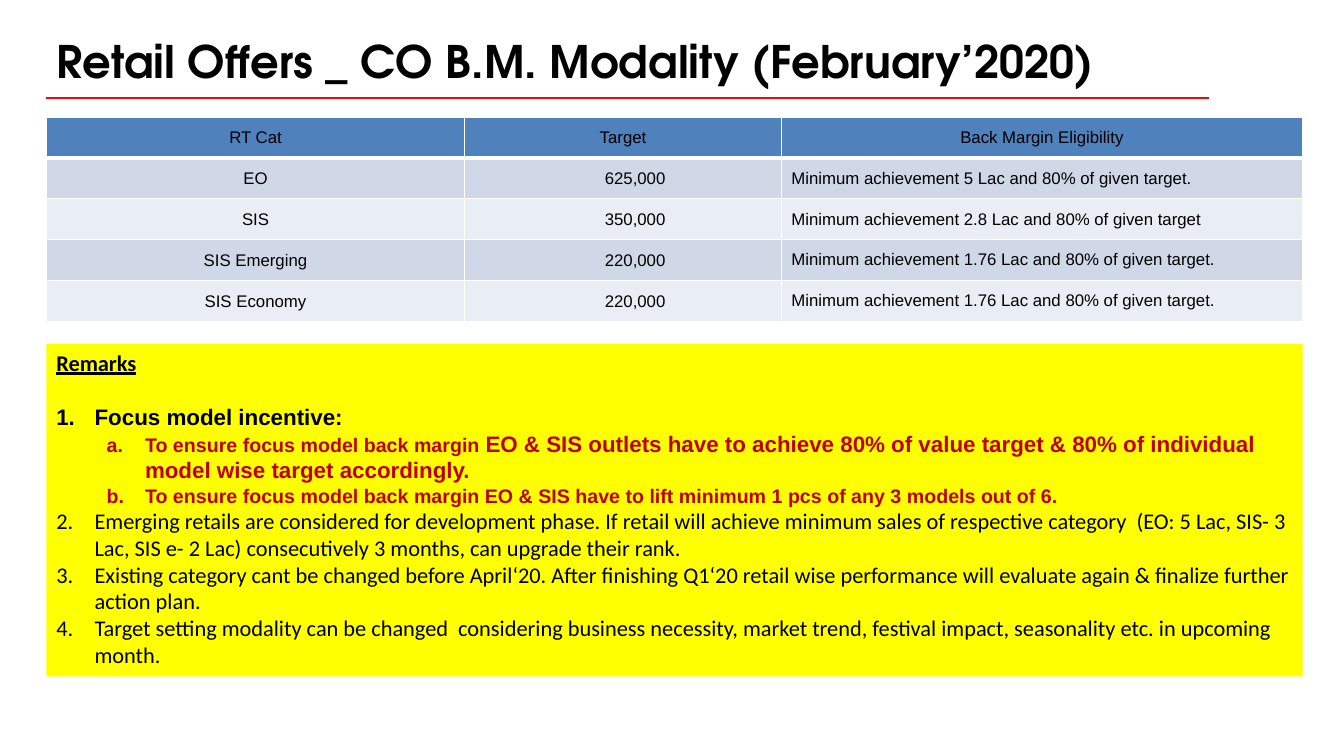
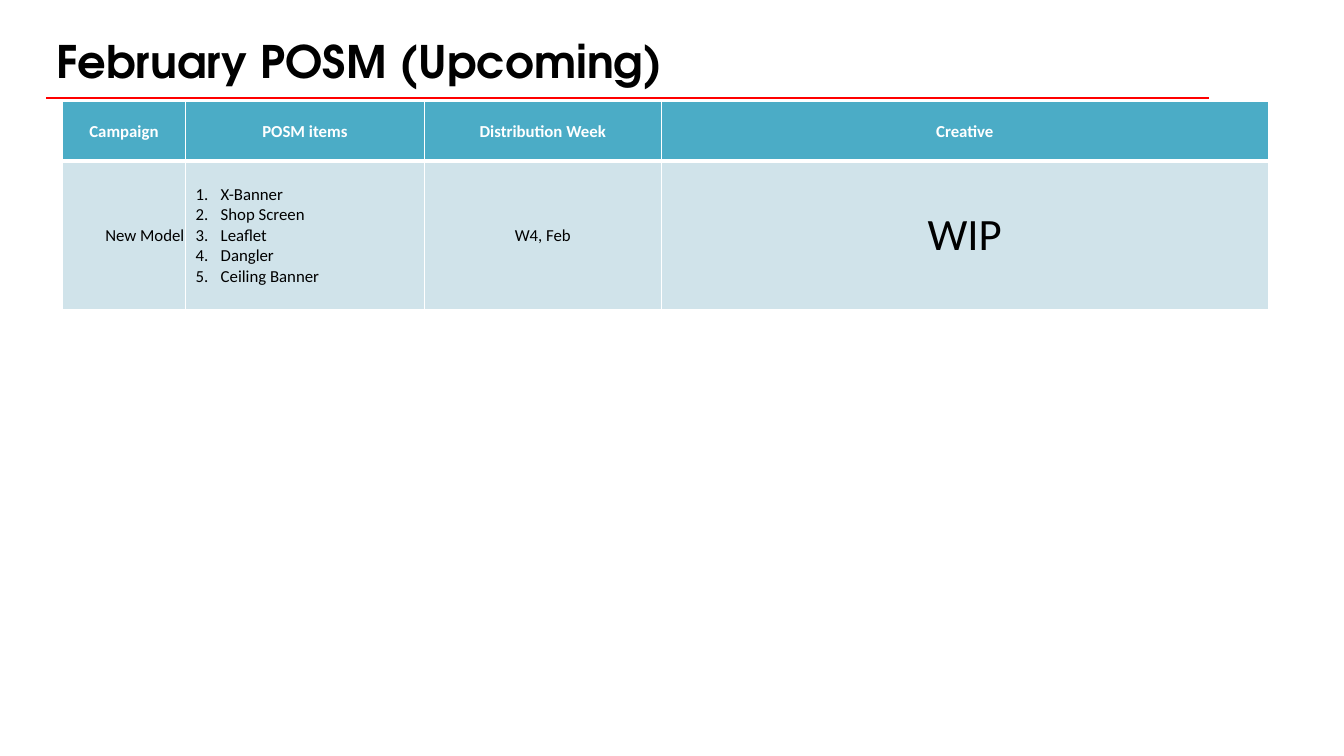
from dataclasses import dataclass, field

from lxml import etree
from pptx import Presentation
from pptx.dml.color import RGBColor
from pptx.enum.shapes import MSO_CONNECTOR, MSO_SHAPE
from pptx.enum.text import MSO_ANCHOR, MSO_AUTO_SIZE, PP_ALIGN
from pptx.oxml.ns import qn
from pptx.util import Inches, Pt

LEFT, CENTER, RIGHT = PP_ALIGN.LEFT, PP_ALIGN.CENTER, PP_ALIGN.RIGHT
TOP, MIDDLE, BOTTOM = MSO_ANCHOR.TOP, MSO_ANCHOR.MIDDLE, MSO_ANCHOR.BOTTOM
RECTANGLE, STRAIGHT = MSO_SHAPE.RECTANGLE, MSO_CONNECTOR.STRAIGHT
NO_FIT, GROW = MSO_AUTO_SIZE.NONE, MSO_AUTO_SIZE.SHAPE_TO_FIT_TEXT
NUMBERS, LETTERS = "arabicPeriod", "alphaLcPeriod"
TITLE_ONLY = 5
GRID = 100  # columns and rows per slide


@dataclass(frozen=True)
class Theme:
    """Colours, fonts and type sizes."""
    black: str = "000000"
    white: str = "FFFFFF"
    rule: str = "FF0000"
    note: str = "FFFF00"
    alert: str = "C00000"
    blue: str = "4F81BD"
    blue_bands: tuple = ("D0D8E8", "E9EDF4")
    teal: str = "4BACC6"
    teal_bands: tuple = ("D0E3EA",)
    title_font: str = "TeX Gyre Adventor"
    sans: str = "Arial"
    body: str = "Calibri"
    large: int = 32
    medium: int = 16
    small: int = 14
    cell: int = 12


THEME = Theme()


def style(font, size, color=THEME.black, bold=False, underline=False):
    return {"name": font, "size": Pt(size), "bold": bold,
            "underline": underline, "color": RGBColor.from_string(color)}


TITLE = style(THEME.title_font, THEME.large, bold=True)
NOTE = style(THEME.body, THEME.medium)
NOTE_HEAD = style(THEME.body, THEME.medium, bold=True, underline=True)
POINT = style(THEME.sans, THEME.medium, bold=True)
ALERT = style(THEME.sans, THEME.small, THEME.alert, bold=True)
ALERT_LARGE = style(THEME.sans, THEME.medium, THEME.alert, bold=True)
SANS_CELL = style(THEME.sans, THEME.cell)
BODY_CELL = style(THEME.body, THEME.cell)
HEAD_CELL = style(THEME.body, THEME.cell, THEME.white, bold=True)
BIG_CELL = style(THEME.body, THEME.large)


@dataclass
class Line:
    """One paragraph: its spans of (text, style) and its layout."""
    spans: list
    layout: dict = field(default_factory=dict)
    number: str = ""
    indent: float = 0
    hang: float = 0


@dataclass
class Cell:
    """Table cell: its lines and its insets in inches (left, top, right, bottom)."""
    lines: list
    insets: tuple = (0.1, 0.05, 0.1, 0.05)


TIGHT = (0.01, 0.01, 0.01, 0)
FIGURE = (0.25, 0.01, 0.01, 0)


def cell(text, look, align=CENTER, insets=Cell.insets):
    return Cell([Line([(text, look)], {"alignment": align})], insets)


class Deck:
    def __init__(self):
        self.deck = Presentation()
        self.deck.slide_width, self.deck.slide_height = Inches(13.33), Inches(7.5)
        self.page = None

    # Grid units to slide lengths
    def across(self, columns):
        return round(self.deck.slide_width * columns / GRID)

    def down(self, rows):
        return round(self.deck.slide_height * rows / GRID)

    def area(self, left, top, width, height):
        return self.across(left), self.down(top), self.across(width), self.down(height)

    def fill_text(self, frame, lines):
        for index, line in enumerate(lines):
            para = frame.add_paragraph() if index else frame.paragraphs[0]
            for name, value in line.layout.items():
                setattr(para, name, value)
            for text, look in line.spans:
                span = para.add_run()
                span.text = text
                for name, value in look.items():
                    if name == "color":
                        span.font.color.rgb = value
                    else:
                        setattr(span.font, name, value)
            if line.number:
                props = para._p.get_or_add_pPr()
                props.set("marL", str(Inches(line.indent)))
                props.set("indent", str(-Inches(line.hang)))
                etree.SubElement(props, qn("a:buAutoNum"), type=line.number)

    def new_page(self, title):
        """Page with the shared title and the rule below it."""
        self.page = self.deck.slides.add_slide(self.deck.slide_layouts[TITLE_ONLY])
        box = self.page.shapes.title
        box.left, box.top, box.width, box.height = self.area(3.45, 0.93, 93.47, 11.47)
        frame = box.text_frame
        frame.vertical_anchor, frame.auto_size = BOTTOM, NO_FIT
        self.fill_text(frame, [Line([(title, TITLE)],
                                    {"alignment": LEFT, "line_spacing": 0.9})])
        self.rule(3.45, 89.95, 12.93)

    def rule(self, left, right, row):
        line = self.page.shapes.add_connector(
            STRAIGHT, self.across(left), self.down(row), self.across(right), self.down(row))
        line.line.color.rgb = RGBColor.from_string(THEME.rule)
        line.line.width = Pt(1.5)
        etree.SubElement(line._element.spPr, qn("a:effectLst"))

    def note(self, left, top, width, height, lines):
        box = self.page.shapes.add_shape(RECTANGLE, *self.area(left, top, width, height))
        box.shadow.inherit = False
        box.fill.solid()
        box.fill.fore_color.rgb = RGBColor.from_string(THEME.note)
        box.line.fill.background()
        frame = box.text_frame
        frame.word_wrap, frame.vertical_anchor, frame.auto_size = True, TOP, GROW
        self.fill_text(frame, lines)

    def border(self, target, weights):
        props = target._tc.get_or_add_tcPr()
        for side, weight in zip("LRTB", weights):
            edge = etree.SubElement(props, qn(f"a:ln{side}"), w=str(Pt(weight)))
            fill = etree.SubElement(edge, qn("a:solidFill"))
            etree.SubElement(fill, qn("a:srgbClr"), val=THEME.white)

    def table(self, left, top, columns, rows, cells, header, bands):
        grid = self.page.shapes.add_table(
            len(rows), len(columns),
            *self.area(left, top, sum(columns), sum(rows))).table
        grid.horz_banding = False
        for column, width in zip(grid.columns, columns):
            column.width = self.across(width)
        for row, height in zip(grid.rows, rows):
            row.height = self.down(height)
        for y, row in enumerate(cells):
            color = bands[(y - 1) % len(bands)] if y else header
            for x, content in enumerate(row):
                target = grid.cell(y, x)
                # The edge between header and body is heavier
                self.border(target, (1, 1, 3 if y == 1 else 1, 1 if y else 3))
                target.fill.solid()
                target.fill.fore_color.rgb = RGBColor.from_string(color)
                target.vertical_anchor = MIDDLE
                for side, inset in zip(("left", "top", "right", "bottom"), content.insets):
                    setattr(target, f"margin_{side}", Inches(inset))
                self.fill_text(target.text_frame, content.lines)


def point(*spans):
    return Line(list(spans), {"alignment": LEFT}, NUMBERS, 0.38, 0.38)


def subpoint(*spans):
    return Line(list(spans), {"alignment": LEFT, "level": 1}, LETTERS, 0.88, 0.38)


def offers_page(deck):
    deck.new_page("Retail Offers _ CO B.M. Modality (February’2020)")

    # Targets by retail category
    targets = [
        ("EO", "625,000", "Minimum achievement 5 Lac and 80% of given target."),
        ("SIS", "350,000", "Minimum achievement 2.8 Lac and 80% of given target"),
        ("SIS Emerging", "220,000", "Minimum achievement 1.76 Lac and 80% of given target."),
        ("SIS Economy", "220,000", "Minimum achievement 1.76 Lac and 80% of given target."),
    ]
    cells = [[cell("RT Cat", SANS_CELL, insets=TIGHT),
              cell("Target", SANS_CELL, insets=TIGHT),
              cell("Back Margin Eligibility", SANS_CELL)]]
    cells += [[cell(category, SANS_CELL, insets=TIGHT),
               cell(target, SANS_CELL, insets=FIGURE),
               cell(rule, SANS_CELL, LEFT)] for category, target, rule in targets]
    deck.table(3.45, 15.47, [31.13, 23.56, 38.78], [5.41] * len(cells), cells,
               THEME.blue, THEME.blue_bands)

    # Remarks
    deck.note(3.45, 45.47, 93.47, 44, [
        Line([("Remarks", NOTE_HEAD)], {"alignment": LEFT, "space_after": Pt(19.5)}),
        point(("Focus model incentive:", POINT)),
        subpoint(("To ensure focus model back margin ", ALERT),
                 ("EO & SIS outlets have to achieve 80% of value target & 80% of "
                  "individual model wise target accordingly.", ALERT_LARGE)),
        subpoint(("To ensure focus model back margin EO & SIS have to lift minimum "
                  "1 pcs of any 3 models out of 6.", ALERT)),
        point(("Emerging retails are considered for development phase. If retail will "
               "achieve minimum sales of respective category  (EO: 5 Lac, SIS- 3 Lac, "
               "SIS e- 2 Lac) consecutively 3 months, can upgrade their rank.", NOTE)),
        point(("Existing category cant be changed before April‘20. After finishing "
               "Q1‘20 retail wise performance will evaluate again & finalize further "
               "action plan.", NOTE)),
        point(("Target setting modality can be changed  considering business necessity, "
               "market trend, festival impact, seasonality etc. in upcoming month.", NOTE)),
    ])


def posm_page(deck):
    deck.new_page("February POSM (Upcoming)")

    # Campaign plan
    heads = ["Campaign", "POSM items", "Distribution Week", "Creative"]
    items = ["X-Banner", "Shop Screen", "Leaflet", "Dangler", "Ceiling Banner"]
    item_lines = [Line([(item, BODY_CELL)], {"alignment": LEFT}, NUMBERS, 0.25, 0.25)
                  for item in items]
    plan = [cell("New Model", BODY_CELL, RIGHT, TIGHT), Cell(item_lines),
            cell("W4, Feb", BODY_CELL), cell("WIP", BIG_CELL)]
    deck.table(4.65, 13.47, [9.15, 17.78, 17.63, 45.16], [7.87, 19.6],
               [[cell(head, HEAD_CELL) for head in heads], plan],
               THEME.teal, THEME.teal_bands)


def main():
    deck = Deck()
    offers_page(deck)
    posm_page(deck)
    deck.deck.save("out.pptx")


if __name__ == "__main__":
    main()
